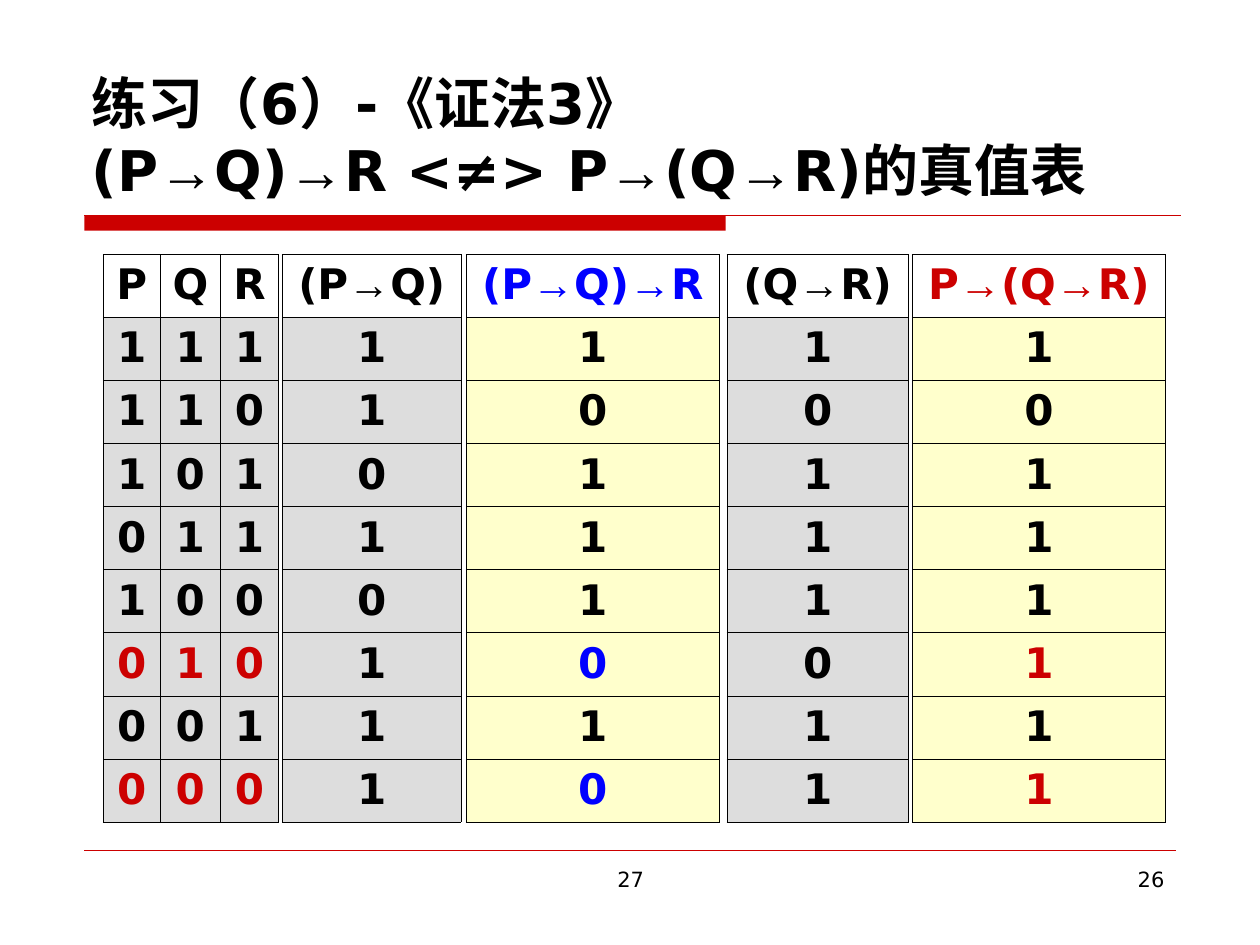
"""Build a slide with the truth tables of (P→Q)→R and P→(Q→R)."""
from lxml import etree
from pptx import Presentation
from pptx.dml.color import RGBColor
from pptx.enum.shapes import MSO_CONNECTOR, MSO_SHAPE
from pptx.enum.text import MSO_ANCHOR, MSO_AUTO_SIZE, PP_ALIGN
from pptx.oxml.ns import qn
from pptx.util import Inches, Pt

CENTER, LEFT, RIGHT = PP_ALIGN.CENTER, PP_ALIGN.LEFT, PP_ALIGN.RIGHT
BOTTOM, NO_FIT = MSO_ANCHOR.BOTTOM, MSO_AUTO_SIZE.NONE
STRAIGHT, RECTANGLE = MSO_CONNECTOR.STRAIGHT, MSO_SHAPE.RECTANGLE
BLACK = RGBColor(0x00, 0x00, 0x00)
RED = RGBColor(0xCC, 0x00, 0x00)
BLUE = RGBColor(0x00, 0x00, 0xFF)
GRAY = RGBColor(0xDD, 0xDD, 0xDD)
CREAM = RGBColor(0xFF, 0xFF, 0xCC)
LATIN, ARROW_FONT, CHINESE = "DejaVu Sans", "Arial", "Noto Sans CJK JP"
ARROW = "→"

TITLE_LINES = [
    [("练习（6）-《证法3》", LATIN)],
    [("(P→Q)→R <≠> P→(Q→R)", LATIN), ("的真值表", CHINESE)],
]
TABLES = [
    {"left": 0.82, "widths": [0.45, 0.48, 0.46], "headers": ["P", "Q", "R"],
     "columns": ["11101000", "11010100", "10110010"],
     "fill": GRAY, "header": BLACK, "highlight": RED},
    {"left": 2.24, "widths": [1.42], "headers": ["(P→Q)"], "columns": ["11010111"],
     "fill": GRAY, "header": BLACK, "highlight": BLACK},
    {"left": 3.7, "widths": [2.01], "headers": ["(P→Q)→R"], "columns": ["10111010"],
     "fill": CREAM, "header": BLUE, "highlight": BLUE},
    {"left": 5.77, "widths": [1.44], "headers": ["(Q→R)"], "columns": ["10111011"],
     "fill": GRAY, "header": BLACK, "highlight": BLACK},
    {"left": 7.24, "widths": [2.01], "headers": ["P→(Q→R)"], "columns": ["10111111"],
     "fill": CREAM, "header": RED, "highlight": RED},
]
DIFFERING_ROWS = (6, 8)
TABLE_TOP, ROW_HEIGHT = 2.02, 0.5
RULES = [(1.71, 9.37, 0.75), (6.75, 9.33, 0.25)]
RULE_LEFT = 0.67
FOOTERS = [("27", 3.42, 3.17, CENTER), ("26", 7.17, 2.17, RIGHT)]


def apply_format(target, values):
    for name, value in values.items():
        setattr(target, name, value)


def add_run(paragraph, text, face, size, color, bold):
    run = paragraph.add_run()
    run.text = text
    apply_format(run.font, {"name": face, "size": Pt(size), "bold": bold})
    run.font.color.rgb = color
    east_asian = etree.Element(qn("a:ea"), typeface=CHINESE)
    run.font._element.find(qn("a:latin")).addnext(east_asian)


def add_formula(paragraph, text, face, size, color, bold=True):
    for index, part in enumerate(text.split(ARROW)):
        if index:
            add_run(paragraph, ARROW, ARROW_FONT, size, color, bold)
        add_run(paragraph, part, face, size, color, bold)


def add_borders(cell):
    properties = cell._tc.get_or_add_tcPr()
    for index, side in enumerate(("lnL", "lnR", "lnT", "lnB")):
        border = etree.Element(qn(f"a:{side}"), w=str(Pt(0.45)))
        solid = etree.SubElement(border, qn("a:solidFill"))
        etree.SubElement(solid, qn("a:srgbClr"), val=str(BLACK))
        properties.insert(index, border)


def add_title(slide):
    title = slide.shapes.title
    apply_format(title, {"left": Inches(0.63), "top": Inches(0.33),
                         "width": Inches(8.75), "height": Inches(1.33)})
    frame = title.text_frame
    apply_format(frame, {"vertical_anchor": BOTTOM, "auto_size": NO_FIT, "word_wrap": True})
    paragraph = frame.paragraphs[0]
    paragraph.alignment = LEFT
    for index, line in enumerate(TITLE_LINES):
        if index:
            paragraph.add_line_break()
        for text, face in line:
            add_formula(paragraph, text, face, 32, BLACK)


def add_rules(slide):
    bar = slide.shapes.add_shape(RECTANGLE, Inches(RULE_LEFT), Inches(1.71),
                                 Inches(5.09), Inches(0.12))
    bar.shadow.inherit = False
    bar.fill.solid()
    bar.fill.fore_color.rgb = RED
    bar.line.fill.background()
    for top, right, weight in RULES:
        rule = slide.shapes.add_connector(STRAIGHT, Inches(RULE_LEFT), Inches(top),
                                          Inches(right), Inches(top))
        rule.line.color.rgb = RED
        rule.line.width = Pt(weight)
        etree.SubElement(rule._element.spPr, qn("a:effectLst"))


def add_truth_table(slide, content):
    headers, columns, widths = content["headers"], content["columns"], content["widths"]
    rows = [headers, *zip(*columns)]
    table = slide.shapes.add_table(
        len(rows), len(headers), Inches(content["left"]), Inches(TABLE_TOP),
        Inches(sum(widths)), Inches(ROW_HEIGHT * len(rows))).table
    apply_format(table, {"first_row": False, "horz_banding": False})
    for column, width in zip(table.columns, widths):
        column.width = Inches(width)
    for row_index, row in enumerate(rows):
        table.rows[row_index].height = Inches(ROW_HEIGHT)
        color = content["highlight"] if row_index in DIFFERING_ROWS else BLACK
        if row_index == 0:
            color = content["header"]
        for column_index, text in enumerate(row):
            cell = table.cell(row_index, column_index)
            if row_index:
                cell.fill.solid()
                cell.fill.fore_color.rgb = content["fill"]
            else:
                cell.fill.background()
            add_borders(cell)
            paragraph = cell.text_frame.paragraphs[0]
            apply_format(paragraph, {"alignment": CENTER, "space_before": Pt(6)})
            add_formula(paragraph, text, LATIN, 24, color)


def add_footers(slide):
    for text, left, width, alignment in FOOTERS:
        footer = slide.shapes.add_textbox(Inches(left), Inches(6.83),
                                          Inches(width), Inches(0.52))
        footer.text_frame.word_wrap = True
        paragraph = footer.text_frame.paragraphs[0]
        paragraph.alignment = alignment
        add_run(paragraph, text, LATIN, 12, BLACK, False)


def main():
    presentation = Presentation()
    apply_format(presentation, {"slide_width": Inches(10), "slide_height": Inches(7.5)})
    slide = presentation.slides.add_slide(presentation.slide_layouts[5])
    add_rules(slide)
    add_footers(slide)
    add_title(slide)
    for content in TABLES:
        add_truth_table(slide, content)
    presentation.save("out.pptx")


if __name__ == "__main__":
    main()
